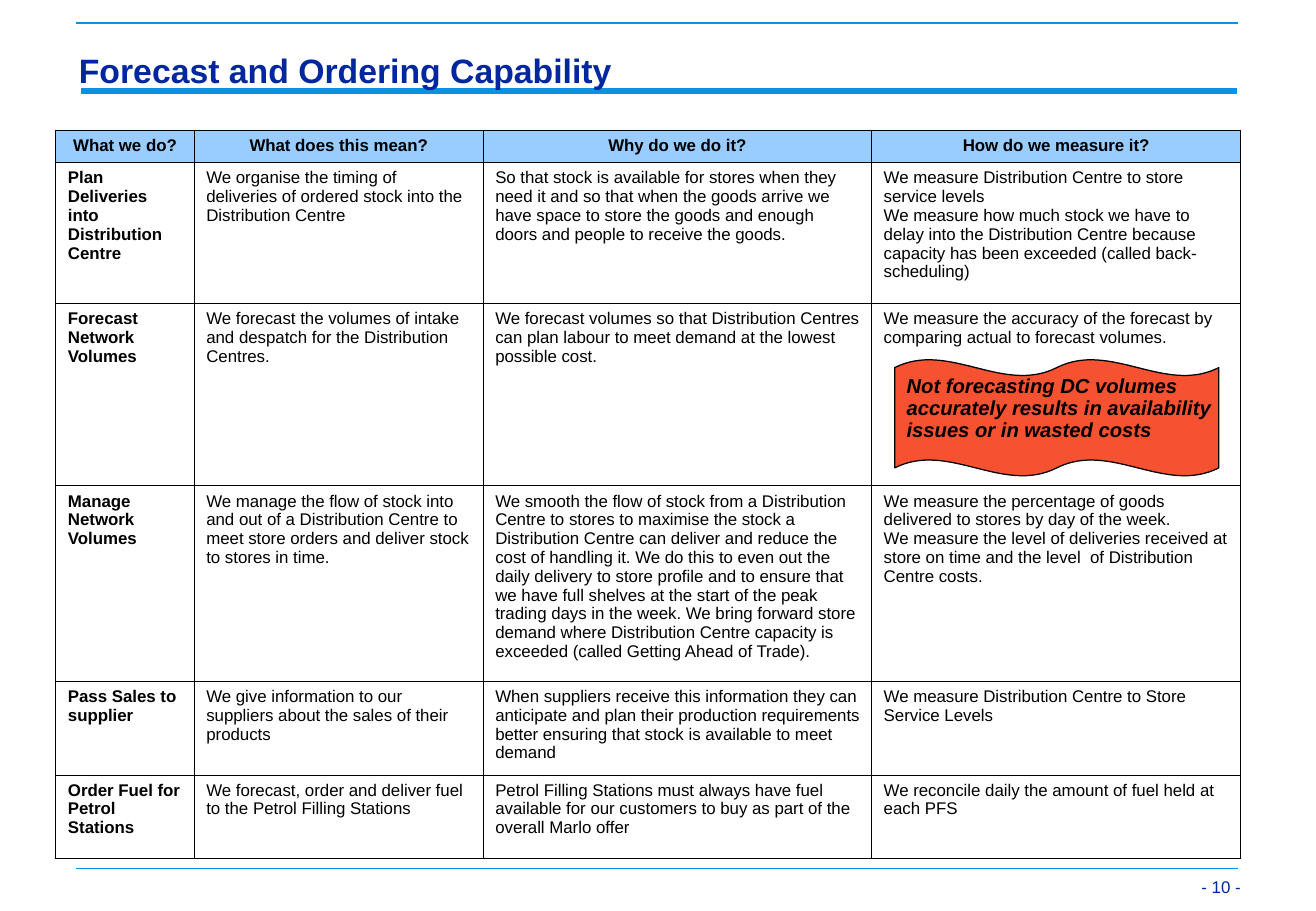
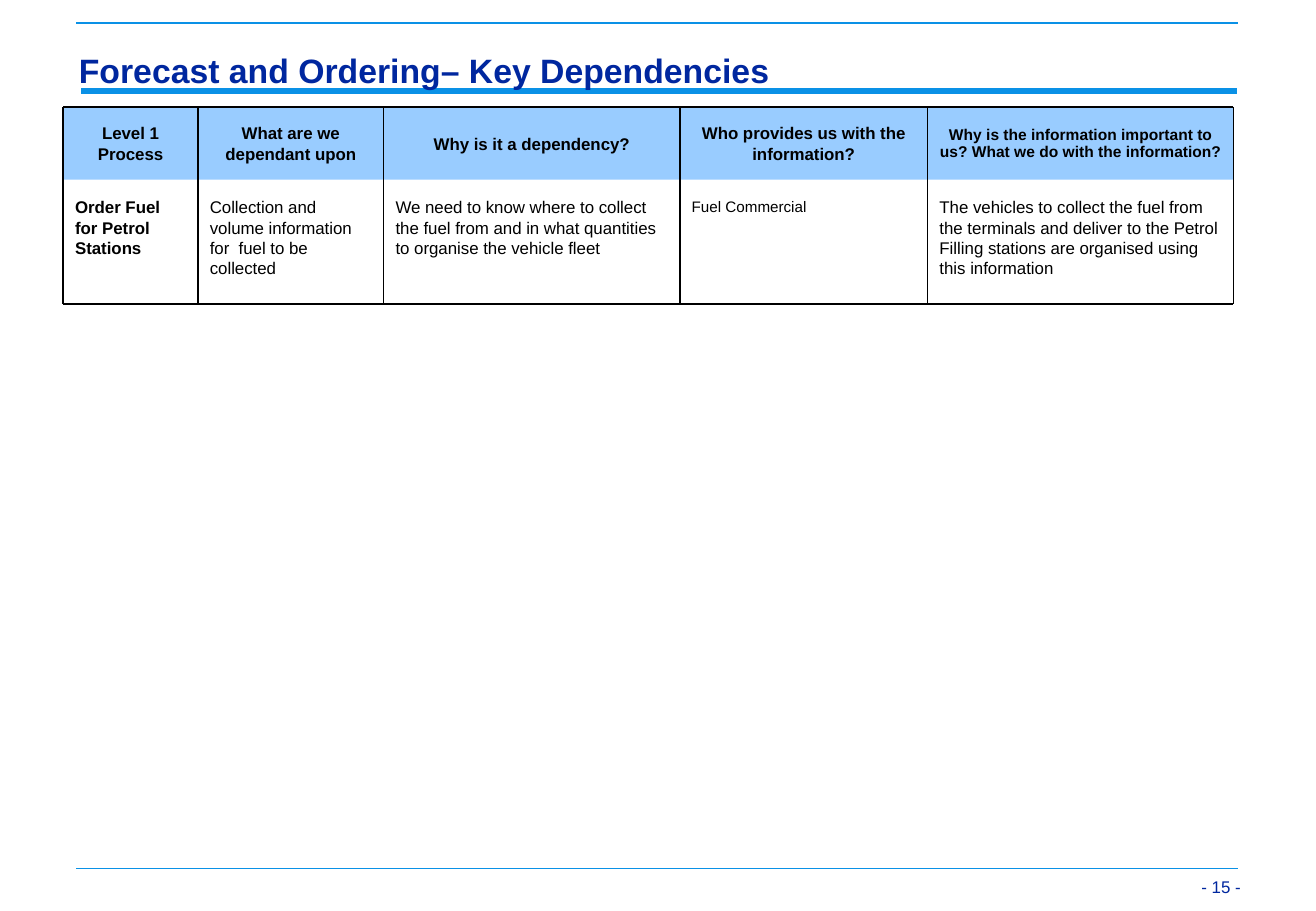
from collections import namedtuple
from itertools import accumulate, pairwise

from lxml.etree import SubElement
from pptx import Presentation
from pptx.dml.color import RGBColor
from pptx.enum.shapes import MSO_CONNECTOR, MSO_SHAPE
from pptx.enum.text import MSO_ANCHOR, MSO_AUTO_SIZE, PP_ALIGN
from pptx.oxml import parse_xml
from pptx.oxml.ns import nsdecls, qn
from pptx.util import Pt

PX = 9144
FONT = "Arial"
COLORS = {
    "title": "00279F",
    "rule": "0A91E6",
    "header": "99CCFF",
    "ink": "000000",
    "warning": "F65130",
}
CELL_INSETS = (10, 5)
FRAME_INSETS = (7, 3)
TABLE_LEADING = 11.15
GRID_LEADING = 12.1

Box = namedtuple("Box", "left top width height")
Style = namedtuple("Style", "size color bold italic align leading",
                   defaults=(10, "ink", False, False, PP_ALIGN.LEFT, None))

TITLE_STYLE = Style(20, "title", True)
NUMBER_STYLE = Style(color="title", align=PP_ALIGN.RIGHT)
CALLOUT_STYLE = Style(12, bold=True, italic=True, leading=13.05)

CAPABILITY_ROWS = [
    ["What we do?", "What does this mean?", "Why do we do it?", "How do we measure it?"],
    ["Plan Deliveries into Distribution Centre",
     "We organise the timing of deliveries of ordered stock into the Distribution Centre",
     "So that stock is available for stores when they need it and so that when the goods "
     "arrive we have space to store the goods and enough doors and people to receive the goods.",
     "We measure Distribution Centre to store service levels\n"
     "We measure how much stock we have to delay into the Distribution Centre because "
     "capacity has been exceeded (called back-scheduling)"],
    ["Forecast Network Volumes",
     "We forecast the volumes of intake and despatch for the Distribution Centres.",
     "We forecast volumes so that Distribution Centres can plan labour to meet demand at "
     "the lowest possible cost.",
     "We measure the accuracy of the forecast by comparing actual to forecast volumes."],
    ["Manage Network Volumes",
     "We manage the flow of stock into and out of a Distribution Centre to meet store "
     "orders and deliver stock to stores in time.",
     "We smooth the flow of stock from a Distribution Centre to stores to maximise the "
     "stock a Distribution Centre can deliver and reduce the cost of handling it. We do "
     "this to even out the daily delivery to store profile and to ensure that we have full "
     "shelves at the start of the peak trading days in the week. We bring forward store "
     "demand where Distribution Centre capacity is exceeded (called Getting Ahead of Trade).",
     "We measure the percentage of goods delivered to stores by day of the week.\n"
     "We measure the level of deliveries received at store on time and the level  of "
     "Distribution Centre costs."],
    ["Pass Sales to supplier",
     "We give information to our suppliers about the sales of their products",
     "When suppliers receive this information they can anticipate and plan their production "
     "requirements better ensuring that stock is available to meet demand",
     "We measure Distribution Centre to Store Service Levels"],
    ["Order Fuel for Petrol Stations",
     "We forecast, order and deliver fuel to the Petrol Filling Stations",
     "Petrol Filling Stations must always have fuel available for our customers to buy as "
     "part of the overall Marlo offer",
     "We reconcile daily the amount of fuel held at each PFS"],
]

DEPENDENCY_COLUMNS = [
    (111, "Level 1 Process", "Order Fuel for Petrol Stations"),
    (153, "What are we dependant upon",
     "Collection and volume information for  fuel to be collected"),
    (244, "Why is it a dependency?",
     "We need to know where to collect the fuel from and in what quantities to organise "
     "the vehicle fleet"),
    (204, "Who provides us with the information?", "Fuel Commercial"),
    (252, "Why is the information important to us? What we do with the information?",
     "The vehicles to collect the fuel from the terminals and deliver to the Petrol "
     "Filling stations are organised using this information"),
]


def emu(*lengths):
    return [length * PX for length in lengths]


def color(name):
    return RGBColor.from_string(COLORS[name])


def write(frame, text, style):
    for index, line in enumerate(text.split("\n")):
        para = frame.paragraphs[0] if index == 0 else frame.add_paragraph()
        para.alignment = style.align
        para.space_before = Pt(0)
        if style.leading:
            para.line_spacing = Pt(style.leading)
        span = para.add_run()
        span.text = line
        span.font.name = FONT
        span.font.size = Pt(style.size)
        span.font.bold = style.bold
        span.font.italic = style.italic
        span.font.color.rgb = color(style.color)


def set_frame(frame, insets, anchor):
    frame.word_wrap = True
    frame.auto_size = MSO_AUTO_SIZE.NONE
    frame.vertical_anchor = anchor
    across, down = emu(*insets)
    frame.margin_left = frame.margin_right = across
    frame.margin_top = frame.margin_bottom = down


def add_text(page, box, text, style, insets=CELL_INSETS, anchor=MSO_ANCHOR.TOP):
    label = page.shapes.add_textbox(*emu(*box))
    set_frame(label.text_frame, insets, anchor)
    write(label.text_frame, text, style)


def add_filled(page, kind, box, fill):
    shape = page.shapes.add_shape(kind, *emu(*box))
    shape.shadow.inherit = False
    shape.fill.solid()
    shape.fill.fore_color.rgb = color(fill)
    shape.line.fill.background()
    return shape


def add_line(page, start, end, name="ink", weight=1):
    line = page.shapes.add_connector(MSO_CONNECTOR.STRAIGHT, *emu(*start, *end))
    line.line.color.rgb = color(name)
    line.line.width = Pt(weight)
    SubElement(line.element.spPr, qn("a:effectLst"))


def add_page(deck, title, number):
    page = deck.slides.add_slide(deck.slide_layouts[5])
    add_line(page, (67, 75), (1019, 75), "rule", 4)
    for height, name in ((19, "ink"), (19, "rule"), (715, "rule")):
        add_line(page, (63, height), (1020, height), name)
    add_text(page, Box(969, 702, 60, 39), f"- {number} -", NUMBER_STYLE,
             FRAME_INSETS, MSO_ANCHOR.BOTTOM)
    heading = page.shapes.title
    heading.left, heading.top, heading.width, heading.height = emu(58, 33, 963, 44)
    set_frame(heading.text_frame, FRAME_INSETS, MSO_ANCHOR.BOTTOM)
    write(heading.text_frame, title, TITLE_STYLE)
    heading.element.getparent().append(heading.element)
    return page


def border_cell(cell):
    properties = cell._tc.get_or_add_tcPr()
    for index, side in enumerate("LRTB"):
        properties.insert(index, parse_xml(
            f'<a:ln{side} {nsdecls("a")} w="{Pt(0.45)}"><a:solidFill>'
            f'<a:srgbClr val="{COLORS["ink"]}"/></a:solidFill></a:ln{side}>'))


def add_capability_table(page, box):
    widths = (114, 238, 320, 304)
    heights = (27, 116, 150, 161, 77, 69)
    table = page.shapes.add_table(len(heights), len(widths), *emu(*box)).table
    table.first_row = table.horz_banding = False
    for column, width in zip(table.columns, emu(*widths)):
        column.width = width
    for row, height in zip(table.rows, emu(*heights)):
        row.height = height
    across, down = emu(*CELL_INSETS)
    for row_index, texts in enumerate(CAPABILITY_ROWS):
        for column_index, text in enumerate(texts):
            cell = table.cell(row_index, column_index)
            cell.margin_left = cell.margin_right = across
            cell.margin_top = cell.margin_bottom = down
            is_header = row_index == 0
            if is_header:
                cell.fill.solid()
                cell.fill.fore_color.rgb = color("header")
            else:
                cell.fill.background()
            border_cell(cell)
            write(cell.text_frame, text, Style(
                bold=is_header or column_index == 0,
                align=PP_ALIGN.CENTER if is_header else PP_ALIGN.LEFT,
                leading=TABLE_LEADING))


def add_callout(page, box, text):
    wave = add_filled(page, MSO_SHAPE.DOUBLE_WAVE, box, "warning")
    wave.adjustments[0] = 0.07
    wave.line.color.rgb = color("ink")
    wave.line.width = Pt(0.75)
    add_text(page, Box(box.left, box.top + 8, box.width + 17, 64), text, CALLOUT_STYLE)


def add_dependency_grid(page, box):
    header_height, body_offset = 60, 69
    right, bottom = box.left + box.width, box.top + box.height
    edges = list(accumulate((width for width, _, _ in DEPENDENCY_COLUMNS), initial=box.left))
    last = len(DEPENDENCY_COLUMNS) - 1
    for index, (start, end) in enumerate(pairwise(edges)):
        _, header, body = DEPENDENCY_COLUMNS[index]
        cell = add_filled(page, MSO_SHAPE.RECTANGLE,
                          Box(start, box.top, end - start, header_height), "header")
        set_frame(cell.text_frame, CELL_INSETS, MSO_ANCHOR.MIDDLE)
        size, leading = (9.2, 10.4) if index == last else (10, GRID_LEADING)
        write(cell.text_frame, header,
              Style(size, bold=True, align=PP_ALIGN.CENTER, leading=leading))
        size, leading = (9, 11) if body == "Fuel Commercial" else (10, GRID_LEADING)
        add_text(page, Box(start, box.top + body_offset, end - start, box.height - body_offset),
                 body, Style(size, bold=index == 0, leading=leading))
    for height in (box.top, bottom):
        add_line(page, (box.left, height), (right, height))
    for edge in edges:
        add_line(page, (edge, box.top), (edge, bottom))


def main():
    deck = Presentation()
    deck.slide_width, deck.slide_height = emu(1084, 750)
    page = add_page(deck, "Forecast and Ordering Capability", 10)
    add_capability_table(page, Box(46, 107, 976, 600))
    add_callout(page, Box(737, 296, 267, 96),
                "Not forecasting DC volumes accurately results in availability issues "
                "or in wasted costs")
    page = add_page(deck, "Forecast and Ordering– Key Dependencies", 15)
    add_dependency_grid(page, Box(52, 88, 964, 162))
    deck.save("out.pptx")


if __name__ == "__main__":
    main()
